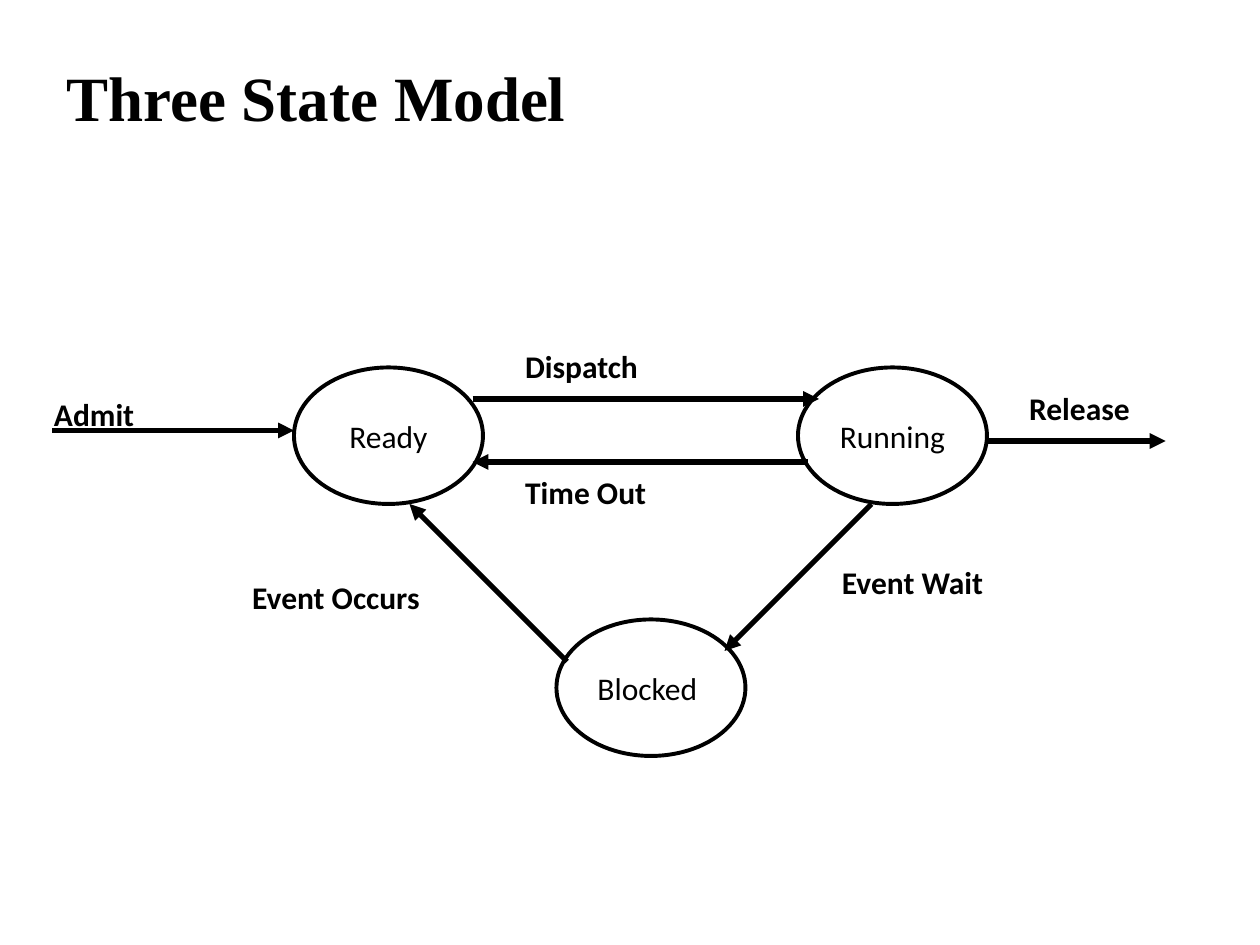
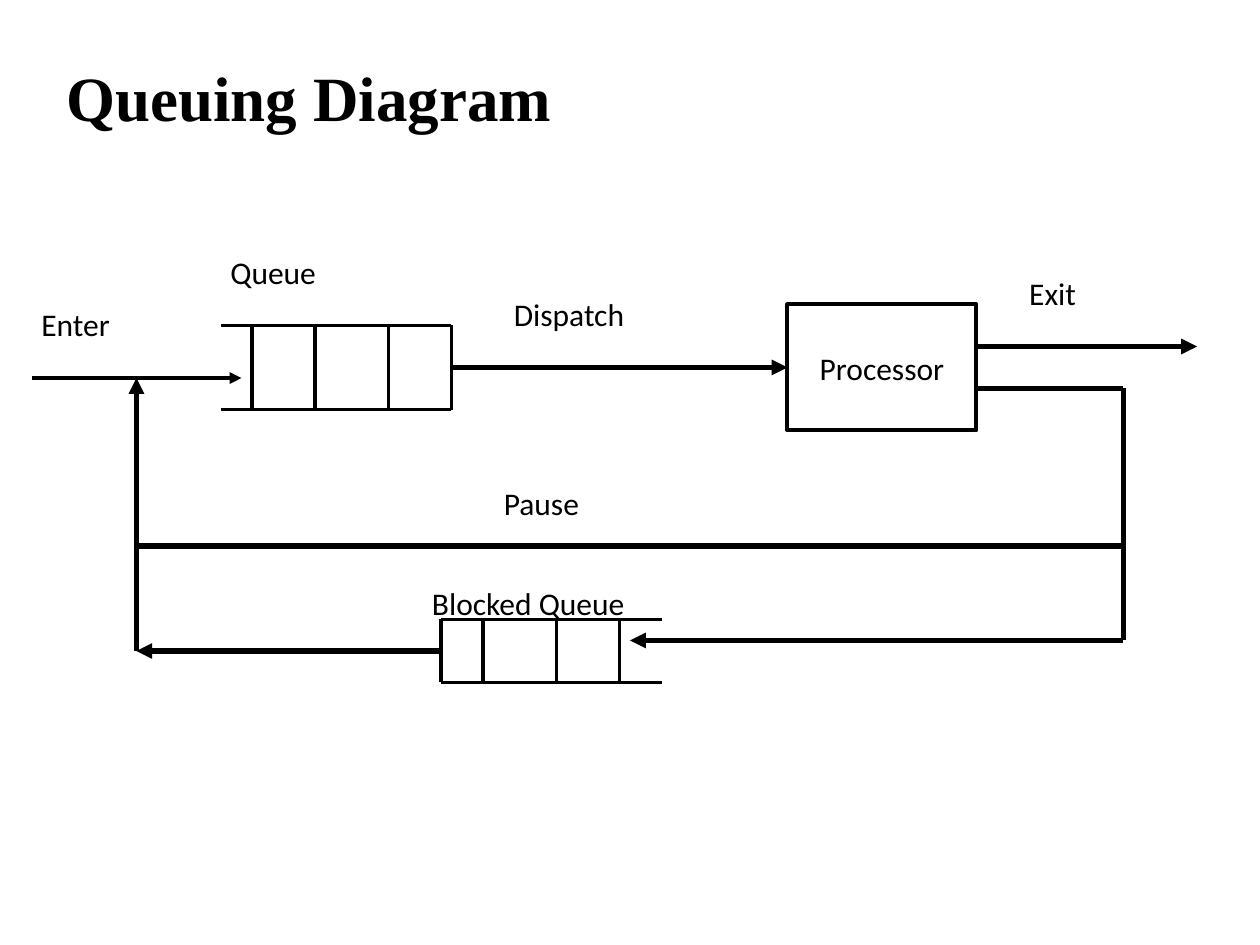
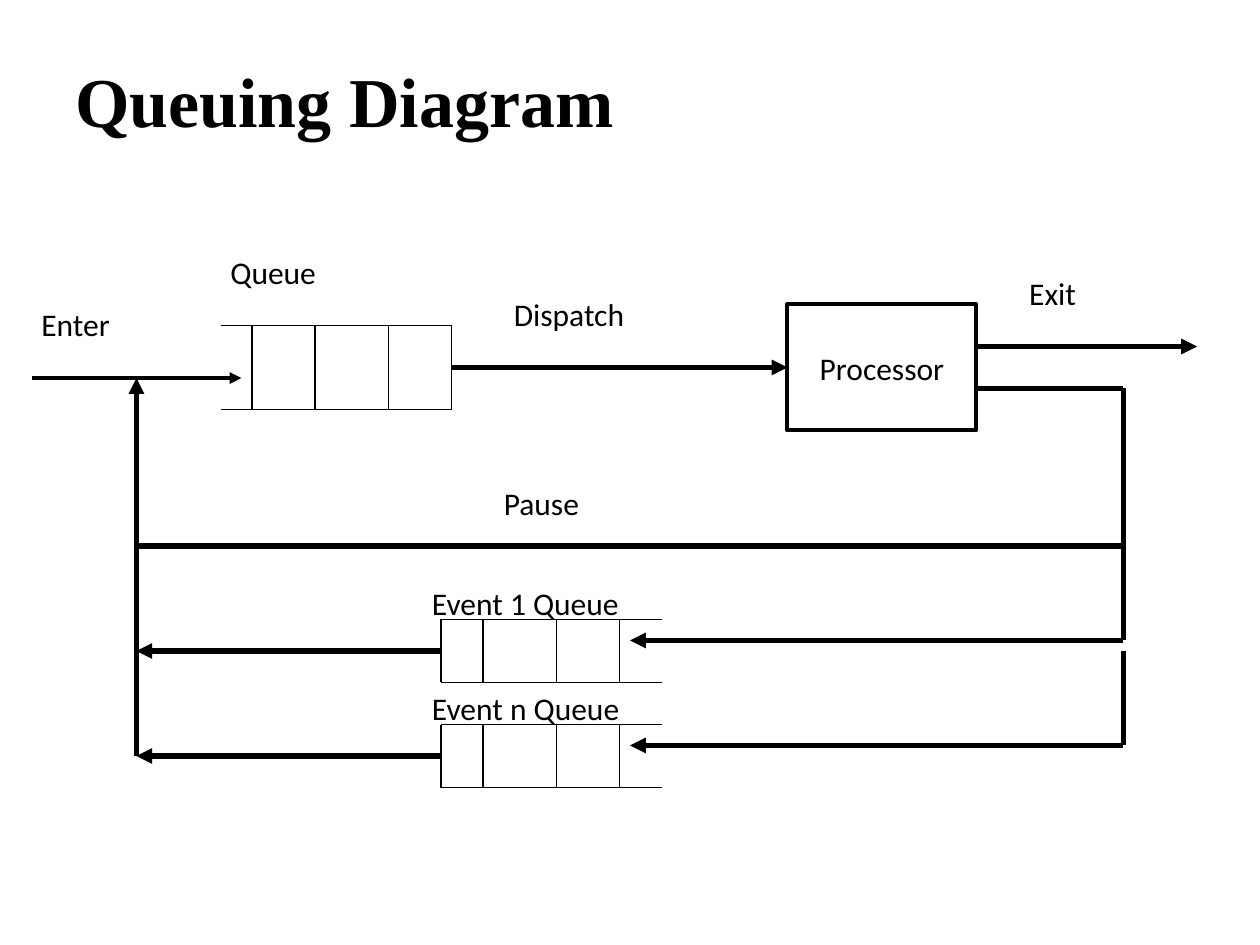
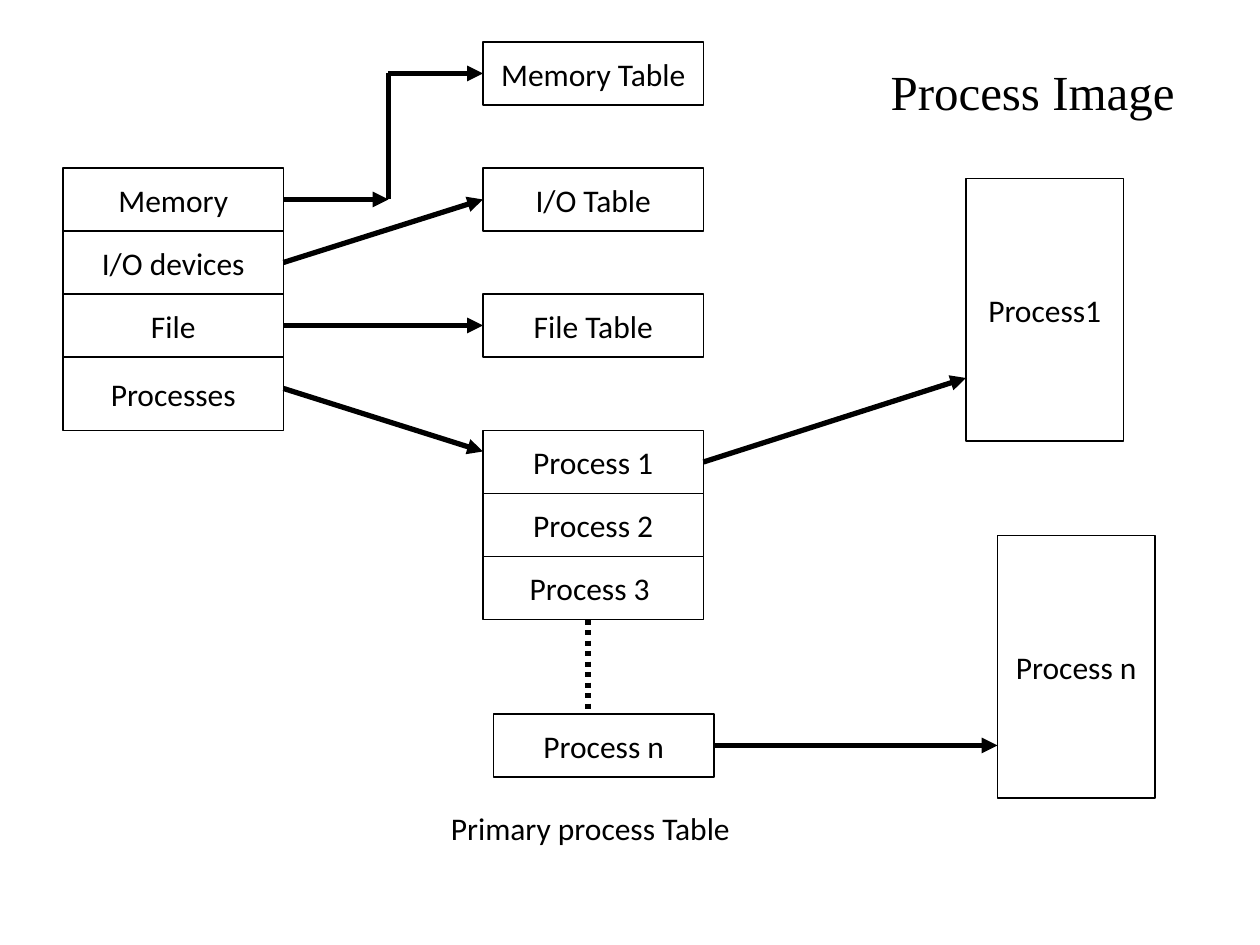
import pptx
import pptx.dml.color
import pptx.enum.dml
import pptx.enum.shapes
import pptx.enum.text
import pptx.util
from lxml import etree

Pt = pptx.util.Pt
SHAPES = pptx.enum.shapes.MSO_SHAPE
COLOURS = {"ink": "000000", "paper": "FFFFFF"}
BODY_FONT, TITLE_FONT = "Calibri", "Times New Roman"
BODY_SIZE, LABEL_HEIGHT = 18, 28.8
THIN, MEDIUM, THICK = 0.75, 2.25, 3
TITLE_PLACE = (30.96, 21.6, 481.68, 66.96)

# Labels: text, left, top, width.  Arrows and plain lines: x1, y1, x2, y2.
STATE_SIZE = (108, 78)
STATES = [("Ready", 168, 210), ("Running", 456, 210), ("Blocked ", 318, 354)]
TRANSITIONS = [
    (30, 246, 168, 246), (564, 252, 666, 252), (270, 228, 468, 228),
    (462, 264, 270, 264), (498, 288, 414, 372), (324, 378, 234, 288),
]
TRANSITION_LABELS = [
    ("Admit", 23.76, 222, 70.56), ("Release", 581, 219, 82.8),
    ("Dispatch", 293, 195, 90.72), ("Time Out", 293, 267, 92.16),
    ("Event Wait", 474, 318, 113.76), ("Event Occurs", 137, 327, 130.32),
]

PROCESSOR = ("Processor", 450, 174, 108, 72)
FLOW_LABELS = [
    ("Enter", 16.56, 170.64, 57.6), ("Dispatch", 286.56, 165, 84.24),
    ("Exit", 581, 153, 44.64), ("Pause", 280.8, 273, 65.52),
    ("Queue", 124.56, 141, 68.4),
]
FLOW_ARROWS = [(258, 210, 450, 210), (558, 198, 684, 198), (78, 312, 78, 216)]
FLOW_LINES = [(558, 222, 642, 222), (642, 222, 642, 312), (642, 312, 78, 312)]
ENTRY_ARROW = (18, 216, 138, 216)
# Queues: left, right, top, bottom, positions of the upright bars.
READY_QUEUE = (126, 258, 186, 234, (144, 180, 222, 258))
EVENT_QUEUE = (252, 378, 354, 390, (252, 276, 318, 354))
LANE_STEP = 60
QUEUE_SLIDES = [
    {"title_size": 36, "title_place": TITLE_PLACE, "bar": MEDIUM,
     "lanes": [("Blocked Queue", 137.52)]},
    {"title_size": 40, "title_place": (36, 30, 648, 54), "bar": THIN,
     "lanes": [("Event 1 Queue", 134.64), ("Event n Queue", 134.64)]},
]

ROW_WIDTH, ROW_HEIGHT = 126, 36
RESOURCES = ["Memory", "I/O devices", "File"]
PROCESSES = ["Process 1", "Process 2", "Process 3 "]
TABLES = ["Memory Table", "I/O Table", "File Table"]
LARGE_BOXES = [
    ("Processes", 36, 204, ROW_WIDTH, 42),
    ("Process n", 282, 408, ROW_WIDTH, ROW_HEIGHT),
    ("Process1", 552, 102, 90, 150), ("Process n", 570, 306, 90, 150),
]
IMAGE_ARROWS = [
    (162, 114, 222, 114), (222, 42, 276, 42), (162, 150, 276, 114),
    (162, 186, 276, 186), (162, 222, 276, 258), (402, 264, 552, 216),
    (408, 426, 570, 426),
]


def colour(name):
    return pptx.dml.color.RGBColor.from_string(COLOURS[name])


def write(frame, text, size=BODY_SIZE, font=BODY_FONT, bold=False):
    para = frame.paragraphs[0]
    span = para.add_run()
    span.text = text
    span.font.size = Pt(size)
    span.font.name = font
    span.font.bold = bold
    span.font.color.rgb = colour("ink")
    return para


def add_title(page, text, place, size):
    frame = page.shapes.add_textbox(*map(Pt, place)).text_frame
    frame.word_wrap = True
    frame.vertical_anchor = pptx.enum.text.MSO_ANCHOR.MIDDLE
    write(frame, text, size, TITLE_FONT, True)


def add_label(shapes, text, left, top, width, bold=False):
    box = shapes.add_textbox(Pt(left), Pt(top), Pt(width), Pt(LABEL_HEIGHT))
    box.text_frame.word_wrap = False
    box.text_frame.auto_size = pptx.enum.text.MSO_AUTO_SIZE.SHAPE_TO_FIT_TEXT
    write(box.text_frame, text, bold=bold)


def add_node(page, kind, text, left, top, width, height, weight):
    """Draw an outlined shape with centred text."""
    box = page.shapes.add_shape(kind, Pt(left), Pt(top), Pt(width), Pt(height))
    box.shadow.inherit = False
    box.fill.solid()
    box.fill.fore_color.rgb = colour("paper")
    box.line.color.rgb = colour("ink")
    box.line.width = Pt(weight)
    box.text_frame.word_wrap = False
    box.text_frame.vertical_anchor = pptx.enum.text.MSO_ANCHOR.MIDDLE
    para = write(box.text_frame, text)
    para.alignment = pptx.enum.text.PP_ALIGN.CENTER


def add_line(shapes, ends, weight=THICK, arrow=False, dotted=False):
    line = shapes.add_connector(
        pptx.enum.shapes.MSO_CONNECTOR.STRAIGHT, *map(Pt, ends))
    line.line.color.rgb = colour("ink")
    line.line.width = Pt(weight)
    if dotted:
        line.line.dash_style = pptx.enum.dml.MSO_LINE.ROUND_DOT
    properties = line.line._get_or_add_ln()
    if arrow:
        tail = etree.SubElement(properties, pptx.oxml.ns.qn("a:tailEnd"))
        tail.set("type", "triangle")
    etree.SubElement(properties.getparent(), pptx.oxml.ns.qn("a:effectLst"))


def add_queue(shapes, queue, weight, drop=0):
    """Draw two rails joined by upright bars, moved down by drop."""
    left, right, top, bottom, bars = queue
    for rail in (top, bottom):
        add_line(shapes, (left, rail + drop, right, rail + drop), weight)
    for bar in bars:
        add_line(shapes, (bar, top + drop, bar, bottom + drop), weight)


def add_lane(page, index, text, width, weight):
    """Draw one event queue with its way in and its way back."""
    drop = index * LANE_STEP
    lane = page.shapes.add_group_shape().shapes
    add_line(lane, (642, 312 + drop, 642, 366 + drop))
    add_queue(lane, EVENT_QUEUE, weight, drop)
    add_label(lane, text, 239.76, 330 + drop, width)
    add_line(lane, (642, 366 + drop, 360, 366 + drop), arrow=True)
    add_line(lane, (78, 312 + drop, 78, 372 + drop))
    add_line(lane, (252, 372 + drop, 78, 372 + drop), arrow=True)


def build_states(page):
    add_title(page, "Three State Model", TITLE_PLACE, 36)
    for text, left, top in STATES:
        add_node(page, SHAPES.OVAL, text, left, top, *STATE_SIZE, MEDIUM)
    for ends in TRANSITIONS:
        add_line(page.shapes, ends, arrow=True)
    for label in TRANSITION_LABELS:
        add_label(page.shapes, *label, bold=True)


def build_queues(page, design):
    add_title(page, "Queuing Diagram", design["title_place"],
              design["title_size"])
    add_queue(page.shapes.add_group_shape().shapes, READY_QUEUE, design["bar"])
    add_line(page.shapes, ENTRY_ARROW, MEDIUM, arrow=True)
    add_node(page, SHAPES.RECTANGLE, *PROCESSOR, MEDIUM)
    for ends in FLOW_ARROWS:
        add_line(page.shapes, ends, arrow=True)
    for ends in FLOW_LINES:
        add_line(page.shapes, ends)
    for label in FLOW_LABELS:
        add_label(page.shapes, *label)
    for index, (text, width) in enumerate(design["lanes"]):
        add_lane(page, index, text, width, design["bar"])


def build_process_image(page):
    stacks = [(RESOURCES, 36, 96, ROW_HEIGHT), (TABLES, 276, 24, 72),
              (PROCESSES, 276, 246, ROW_HEIGHT)]
    for names, left, top, step in stacks:
        for index, name in enumerate(names):
            add_node(page, SHAPES.RECTANGLE, name, left, top + index * step,
                     ROW_WIDTH, ROW_HEIGHT, THIN)
    for box in LARGE_BOXES:
        add_node(page, SHAPES.RECTANGLE, *box, THIN)
    for ends in IMAGE_ARROWS:
        add_line(page.shapes, ends, arrow=True)
    add_line(page.shapes, (222, 114, 222, 42))
    add_line(page.shapes, (336, 354, 336, 408), dotted=True)
    add_label(page.shapes, "Primary process Table", 250.56, 458.64, 194.4)
    heading = page.shapes.add_textbox(Pt(501.84), Pt(31.68), Pt(191.52), Pt(41))
    heading.text_frame.word_wrap = True
    write(heading.text_frame, "Process Image", 28, TITLE_FONT)


def main():
    deck = pptx.Presentation()
    deck.slide_width, deck.slide_height = Pt(720), Pt(540)
    blank = deck.slide_layouts[6]
    build_states(deck.slides.add_slide(blank))
    for design in QUEUE_SLIDES:
        build_queues(deck.slides.add_slide(blank), design)
    build_process_image(deck.slides.add_slide(blank))
    deck.save("out.pptx")


if __name__ == "__main__":
    main()
